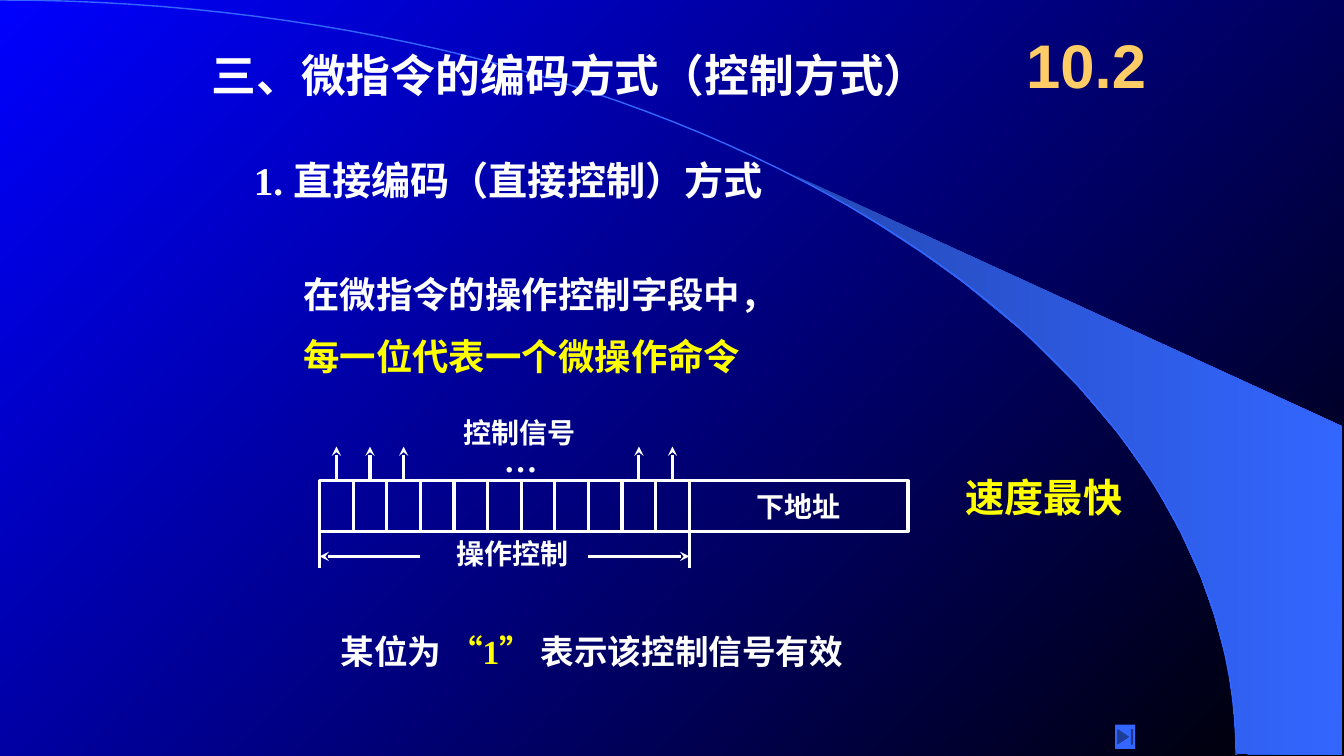
import math

import lxml.etree
import pptx
import pptx.dml.color
import pptx.enum.shapes
import pptx.enum.text
import pptx.oxml.ns
import pptx.util

Inches = pptx.util.Inches
Pt = pptx.util.Pt
SHAPE = pptx.enum.shapes.MSO_SHAPE

THEME = {
    "white": "FFFFFF", "yellow": "FFFF00", "gold": "FFCC66",
    "blue": "3366FF", "deep": "2449B6", "sky": "0000FF", "night": "000000",
    "sans": "DejaVu Sans", "serif": "Times New Roman", "number": "Arial",
    "title": 32, "heading": 28, "body": 26, "note": 24, "label": 20, "section": 44,
    "line": 2.25, "gap": 13,
}

TEXTS = [
    {"at": (2, 0.42, 7.34, 0.63), "size": "title",
     "lines": [[("三、微指令的编码方式（控制方式）", "sans", "white")]]},
    {"at": (2.42, 1.5, 7.72, 0.57), "size": "heading", "wrap": True,
     "lines": [[("1. ", "serif", "white"), ("直接编码（直接控制）方式", "sans", "white")]]},
    {"at": (2.91, 2.65, 7.54, 1.19), "size": "body", "wrap": True,
     "lines": [[("在微指令的操作控制字段中，", "sans", "white")],
               [("每一位代表一个微操作命令", "sans", "yellow")]]},
    {"at": (9.48, 4.65, 1.76, 0.57), "size": "heading",
     "lines": [[("速度最快", "sans", "yellow")]]},
    {"at": (4.9, 4.31, 0.53, 0.5), "size": "note",
     "lines": [[("…", "serif", "white")]]},
    {"at": (4.5, 4.07, 1.32, 0.43), "size": "label",
     "lines": [[("控制信号", "serif", "white")]]},
    {"at": (4.43, 5.27, 1.32, 0.43), "size": "label",
     "lines": [[("操作控制", "serif", "white")]]},
    {"at": (3.28, 6.21, 5.28, 0.5), "size": "note", "wrap": True,
     "lines": [[("某位为 ", "serif", "white"), ("“1”", "serif", "yellow"),
                (" 表示该控制信号有效", "serif", "white")]]},
    {"at": (10.08, 0.17, 1.58, 0.92), "size": "section", "wrap": True, "middle": True,
     "lines": [[("10.2", "number", "gold")]]},
]
ADDRESS_LINES = [[("下地址", "serif", "white")]]

FIN_POINTS = [
    (12.27, 7.48), (13.31, 7.49), (13.31, 4.23), (7.86, 1.73), (8.32, 1.99), (8.7, 2.22),
    (9.13, 2.5), (9.55, 2.8), (10.16, 3.3), (10.7, 3.84), (11.1, 4.31), (11.44, 4.79),
    (11.71, 5.28), (11.91, 5.72), (12.04, 6.09), (12.17, 6.56), (12.23, 6.96),
]
ARC_WIDTH, ARC_HEIGHT, ARC_STEPS = 12.26, 7.49, 60

FIELD_LEFT, FIELD_TOP, FIELD_HEIGHT = 3.17, 4.77, 0.5
BIT_COUNT, BIT_WIDTH = 11, 1 / 3
SIGNAL_BITS = (0, 1, 2, 9, 10)
SIGNAL_TOP = 4.43
ADDRESS_WIDTH = 2.17
SPAN_Y, SPAN_BOTTOM, SPAN_LENGTH = 5.52, 5.64, 1
END_BUTTON = (11.06, 7.19, 0.2, 0.24)


def color(name):
    return pptx.dml.color.RGBColor.from_string(THEME[name])


def paint_gradient(fill, names, angle):
    fill.gradient()
    fill.gradient_angle = angle
    for stop, name, position in zip(fill.gradient_stops, names, (0, 1)):
        stop.color.rgb = color(name)
        stop.position = position


def write_lines(frame, lines, size):
    for index, pieces in enumerate(lines):
        para = frame.paragraphs[0] if index == 0 else frame.add_paragraph()
        if index:
            para.space_before = Pt(THEME["gap"])
        for text, font, tint in pieces:
            span = para.add_run()
            span.text = text
            span.font.name = THEME[font]
            span.font.size = Pt(THEME[size])
            span.font.bold = True
            span.font.color.rgb = color(tint)


def add_text(page, item):
    box = page.shapes.add_textbox(*map(Inches, item["at"]))
    frame = box.text_frame
    frame.word_wrap = item.get("wrap", False)
    if item.get("middle"):
        frame.vertical_anchor = pptx.enum.text.MSO_ANCHOR.MIDDLE
    write_lines(frame, item["lines"], item["size"])


def add_outline(page, points, close):
    builder = page.shapes.build_freeform(*map(Inches, points[0]))
    builder.add_line_segments([tuple(map(Inches, point)) for point in points[1:]], close=close)
    outline = builder.convert_to_shape()
    outline.shadow.inherit = False
    return outline


def add_cell(page, left, width):
    cell = page.shapes.add_shape(
        SHAPE.RECTANGLE, Inches(left), Inches(FIELD_TOP), Inches(width), Inches(FIELD_HEIGHT))
    cell.shadow.inherit = False
    cell.fill.background()
    cell.line.color.rgb = color("white")
    cell.line.width = Pt(THEME["line"])
    return cell


def add_line(page, start, end, arrow=False):
    line = page.shapes.add_connector(
        pptx.enum.shapes.MSO_CONNECTOR.STRAIGHT, *map(Inches, start + end))
    line.line.color.rgb = color("white")
    line.line.width = Pt(THEME["line"])
    qn = pptx.oxml.ns.qn
    if arrow:
        lxml.etree.SubElement(line.line._get_or_add_ln(), qn("a:tailEnd"), type="stealth")
    lxml.etree.SubElement(line._element.spPr, qn("a:effectLst"))
    return line


def add_scenery(page):
    paint_gradient(page.background.fill, ("sky", "night"), 315)
    fin = add_outline(page, FIN_POINTS, True)
    paint_gradient(fin.fill, ("deep", "blue"), 0)
    fin.line.fill.background()
    angles = [math.pi / 2 * step / ARC_STEPS for step in range(ARC_STEPS + 1)]
    arc_points = [(ARC_WIDTH * math.sin(a), ARC_HEIGHT * (1 - math.cos(a))) for a in angles]
    arc = add_outline(page, arc_points, False)
    arc.fill.background()
    arc.line.color.rgb = color("blue")
    arc.line.width = Pt(1)


def add_instruction(page):
    bits = [add_cell(page, FIELD_LEFT + i * BIT_WIDTH, BIT_WIDTH) for i in range(BIT_COUNT)]
    field_right = FIELD_LEFT + BIT_COUNT * BIT_WIDTH
    address = add_cell(page, field_right, ADDRESS_WIDTH)
    address.text_frame.word_wrap = False
    address.text_frame.vertical_anchor = pptx.enum.text.MSO_ANCHOR.MIDDLE
    write_lines(address.text_frame, ADDRESS_LINES, "label")
    address.text_frame.paragraphs[0].alignment = pptx.enum.text.PP_ALIGN.CENTER

    for index in SIGNAL_BITS:
        x = FIELD_LEFT + (index + 0.5) * BIT_WIDTH
        signal = add_line(page, (x, FIELD_TOP), (x, SIGNAL_TOP), arrow=True)
        signal.begin_connect(bits[index], 0)

    for edge, inward in ((FIELD_LEFT, 1), (field_right, -1)):
        add_line(page, (edge, FIELD_TOP + FIELD_HEIGHT), (edge, SPAN_BOTTOM))
        add_line(page, (edge + inward * SPAN_LENGTH, SPAN_Y), (edge, SPAN_Y), arrow=True)


def main():
    deck = pptx.Presentation()
    deck.slide_width, deck.slide_height = Inches(13.33), Inches(7.5)
    page = deck.slides.add_slide(deck.slide_layouts[6])
    add_scenery(page)
    add_instruction(page)
    for item in TEXTS:
        add_text(page, item)
    button = page.shapes.add_shape(SHAPE.ACTION_BUTTON_END, *map(Inches, END_BUTTON))
    button.shadow.inherit = False
    button.fill.solid()
    button.fill.fore_color.rgb = color("blue")
    button.line.fill.background()
    deck.save("out.pptx")


if __name__ == "__main__":
    main()
